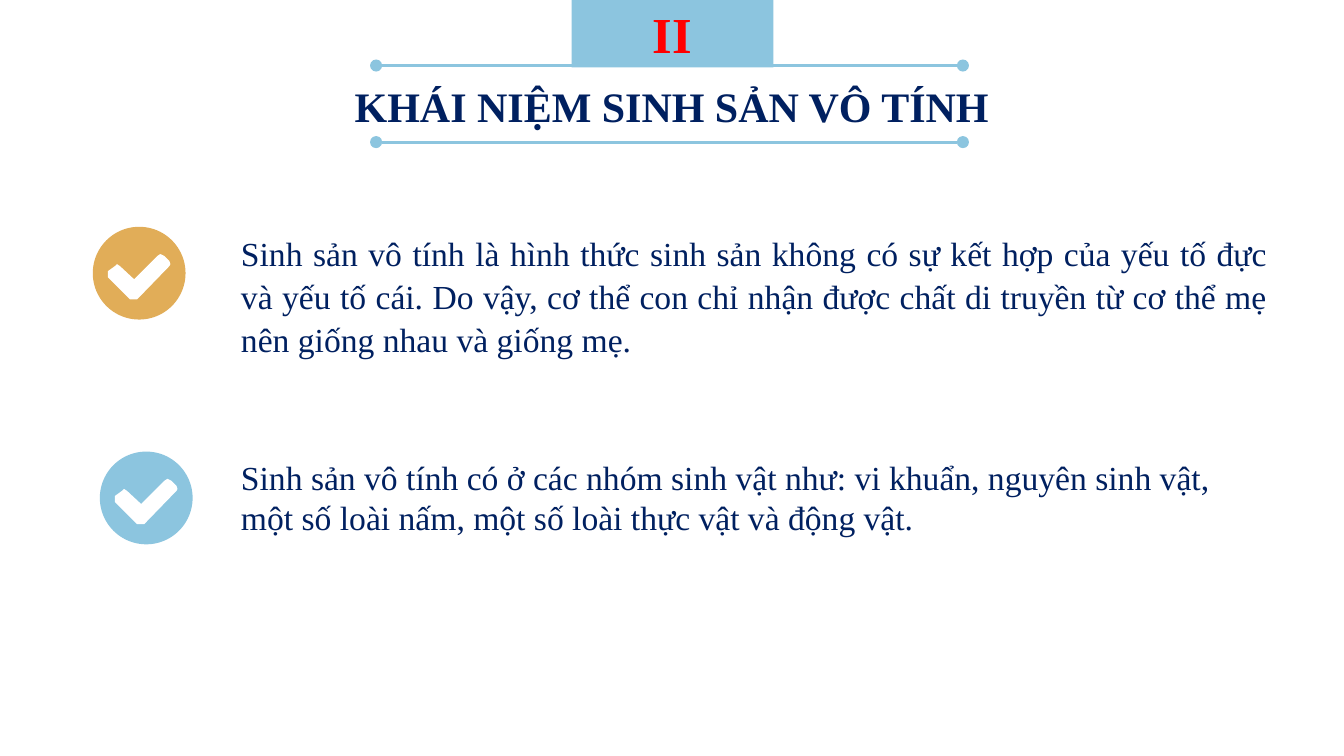
from lxml import etree
from pptx import Presentation
from pptx.dml.color import RGBColor
from pptx.enum.shapes import MSO_CONNECTOR, MSO_SHAPE
from pptx.enum.text import MSO_ANCHOR, MSO_AUTO_SIZE, PP_ALIGN
from pptx.oxml.ns import qn
from pptx.util import Pt

PX = 9144  # 100 px to the inch
RECT, OVAL = MSO_SHAPE.RECTANGLE, MSO_SHAPE.OVAL
STRAIGHT = MSO_CONNECTOR.STRAIGHT
TOP, MIDDLE = MSO_ANCHOR.TOP, MSO_ANCHOR.MIDDLE
LEFT, CENTER, JUSTIFY = PP_ALIGN.LEFT, PP_ALIGN.CENTER, PP_ALIGN.JUSTIFY
GROW = MSO_AUTO_SIZE.SHAPE_TO_FIT_TEXT

FONT = "Times New Roman"
COLORS = {"sky": "8CC5DF", "gold": "E1AD58", "navy": "002060",
          "red": "FF0000", "white": "FFFFFF"}
# Tick outline, in px from the corner of its disc
TICK = [(76, 34), (71, 29), (67, 27), (64, 29), (41, 52), (27, 39), (24, 37),
        (22, 39), (15, 44), (15, 50), (37, 72), (44, 72), (76, 39), (77, 37)]


class SlideBuilder:
    def __init__(self, slide):
        self.slide = slide
        self.shapes = slide.shapes

    def color(self, name):
        return RGBColor.from_string(COLORS[name])

    def paint(self, sp, fill):
        sp.shadow.inherit = False
        sp.fill.solid()
        sp.fill.fore_color.rgb = self.color(fill)
        sp.line.fill.background()

    def shape(self, kind, x, y, w, h, fill):
        sp = self.shapes.add_shape(kind, x * PX, y * PX, w * PX, h * PX)
        self.paint(sp, fill)
        return sp

    def text(self, sp, text, size, color, align, bold=False, anchor=TOP,
             spacing=1.0, after=0):
        tf = sp.text_frame
        tf.vertical_anchor = anchor
        p = tf.paragraphs[0]
        p.alignment = align
        p.line_spacing = spacing
        p.space_before, p.space_after = Pt(0), Pt(after)
        r = p.add_run()
        r.text = text
        r.font.name, r.font.size, r.font.bold = FONT, Pt(size), bold
        r.font.color.rgb = self.color(color)
        return p

    def placeholder(self, idx, x, y, w, h, text, size, align, wrap=True, **style):
        sp = self.slide.placeholders[idx]
        sp.left, sp.top, sp.width, sp.height = x * PX, y * PX, w * PX, h * PX
        sp.text_frame.word_wrap = wrap
        sp.text_frame.auto_size = GROW
        p = self.text(sp, text, size, "navy", align, **style)
        # No bullet and no hanging indent
        ppr = p._p.get_or_add_pPr()
        ppr.set("marL", "0")
        ppr.set("indent", "0")
        etree.SubElement(ppr, qn("a:buNone"))

    def rule(self, x1, x2, y, dot=12):
        line = self.shapes.add_connector(STRAIGHT, x1 * PX, y * PX, x2 * PX, y * PX)
        line.line.color.rgb = self.color("sky")
        line.line.width = Pt(2)
        etree.SubElement(line._element.spPr, qn("a:effectLst"))
        for x in (x1 - dot, x2):
            self.shape(OVAL, x, y - dot // 2, dot, dot, "sky")

    def tick(self, x, y, fill):
        self.shape(OVAL, x, y, 92, 92, fill)
        points = [(x + dx, y + dy) for dx, dy in TICK]
        fb = self.shapes.build_freeform(*points[0], scale=PX)
        fb.add_line_segments(points[1:], close=True)
        self.paint(fb.convert_to_shape(), "white")


def main():
    prs = Presentation()
    prs.slide_width, prs.slide_height = 1333 * PX, 750 * PX
    s = SlideBuilder(prs.slides.add_slide(prs.slide_layouts[3]))

    # Heading: numbered tab, and title between two rules
    tab = s.shape(RECT, 567, 0, 200, 67, "sky")
    s.text(tab, "II", 36, "red", CENTER, bold=True, anchor=MIDDLE)
    for y in (65, 141):
        s.rule(379, 949, y)
    s.placeholder(0, 339, 75, 655, 61, "KHÁI NIỆM SINH SẢN VÔ TÍNH", 30, CENTER,
                  wrap=False, bold=True)

    # Two ticked statements
    s.tick(92, 225, "gold")
    s.placeholder(1, 229, 223, 1038, 138,
                  "Sinh sản vô tính là hình thức sinh sản không có sự kết hợp của "
                  "yếu tố đực và yếu tố cái. Do vậy, cơ thể con chỉ nhận được chất "
                  "di truyền từ cơ thể mẹ nên giống nhau và giống mẹ.",
                  24, JUSTIFY, spacing=1.07, after=8)
    s.tick(99, 448, "sky")
    s.placeholder(2, 229, 448, 1038, 91,
                  "Sinh sản vô tính có ở các nhóm sinh vật như: vi khuẩn, nguyên "
                  "sinh vật, một số loài nấm, một số loài thực vật và động vật.",
                  24, LEFT)

    prs.save("out.pptx")


if __name__ == "__main__":
    main()
